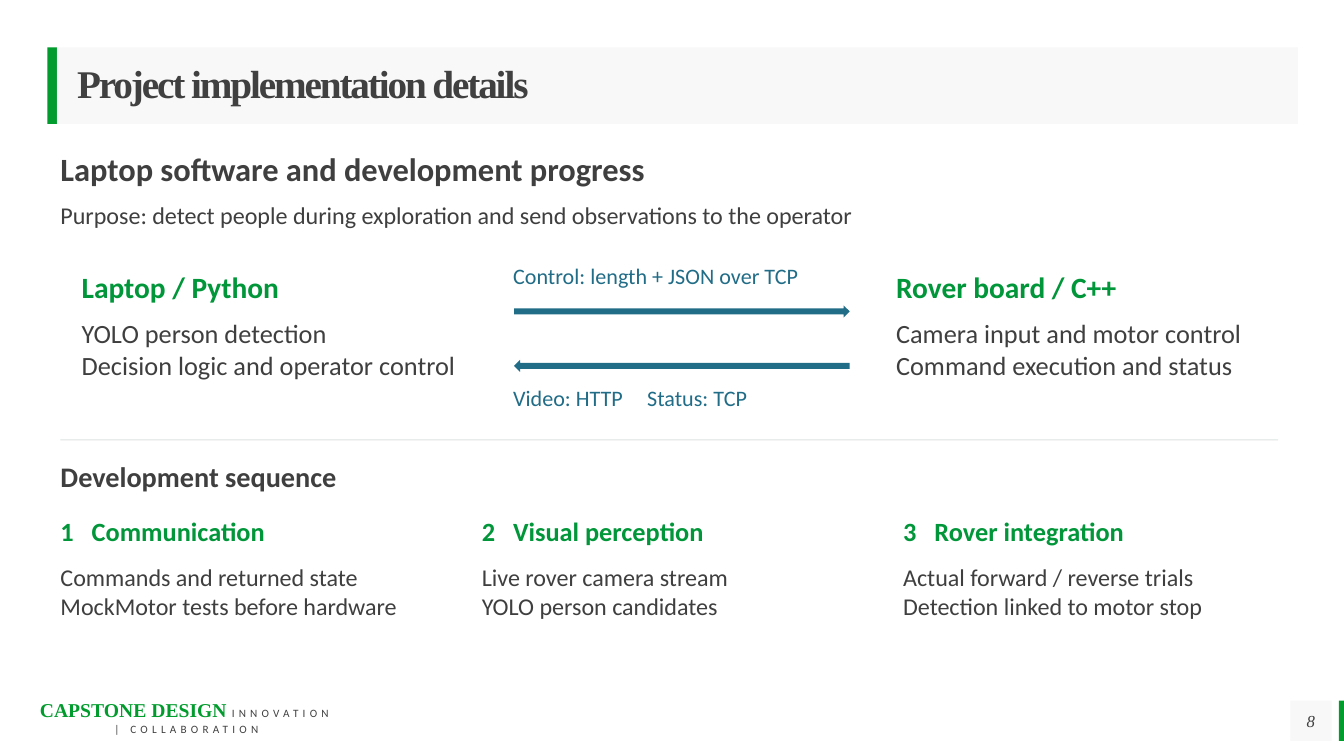
import pptx
import pptx.util
import pptx.dml.color
import pptx.enum.shapes
import pptx.enum.text
import pptx.oxml
import pptx.oxml.ns

RGBColor = pptx.dml.color.RGBColor
SHAPE = pptx.enum.shapes.MSO_SHAPE
ANCHOR = pptx.enum.text.MSO_ANCHOR
ALIGN = pptx.enum.text.PP_ALIGN
Pt = pptx.util.Pt

BRAND_GREEN = RGBColor(0x02, 0x9B, 0x2D)
GREEN = RGBColor(0x00, 0x96, 0x39)
TEAL = RGBColor(0x21, 0x6C, 0x87)
TEXT = RGBColor(0x3F, 0x3F, 0x3F)
DARK = RGBColor(0x40, 0x40, 0x40)
PANEL = RGBColor(0xF2, 0xF2, 0xF2)
RULE = RGBColor(0xDD, 0xE2, 0xDF)

# Grid of square cells, ten to the inch
CELL = pptx.util.Inches(0.1)
COLS, ROWS = 133.33, 75
LEFT = 6
STEP_PITCH = 41.8

# Text formats
SANS, SERIF = "Calibri", "Times New Roman"
TITLE = dict(name=SERIF, size=28, bold=True, color=DARK, spacing=-1.5)
PAGE = dict(name=SERIF, size=12, italic=True, color=DARK)
LOGOTYPE = dict(name=SERIF, size=14, bold=True, color=BRAND_GREEN)
TAGLINE = dict(name=SANS, size=8, color=DARK, spacing=3)
HEADING = dict(name=SANS, size=23.2, bold=True, color=TEXT)
SUBHEADING = dict(HEADING, size=20.2)
BODY = dict(name=SANS, size=17.2, color=TEXT)
NODE_HEAD = dict(name=SANS, size=21, bold=True, color=GREEN)
NODE_BODY = dict(BODY, size=18.8)
STEP_HEAD = dict(NODE_HEAD, size=18.8)
LINK = dict(name=SANS, size=15.8, color=TEAL)

NODES = [
    (8.1, "Laptop / Python",
     ["YOLO person detection", "Decision logic and operator control"]),
    (88.9, "Rover board / C++",
     ["Camera input and motor control", "Command execution and status"]),
]
LINKS = [
    (26, "Control: length + JSON over TCP", 30.3, SHAPE.RIGHT_ARROW),
    (38.1, "Video: HTTP\tStatus: TCP", 35.7, SHAPE.LEFT_ARROW),
]
STEPS = [
    ("Communication",
     ["Commands and returned state", "MockMotor tests before hardware"]),
    ("Visual perception",
     ["Live rover camera stream", "YOLO person candidates"]),
    ("Rover integration",
     ["Actual forward / reverse trials", "Detection linked to motor stop"]),
]


def grid(*cells):
    return [round(c * CELL) for c in cells]


def add_run(p, text, fmt):
    r = p.add_run()
    r.text = text
    for key, value in fmt.items():
        if key == "color":
            r.font.color.rgb = value
        elif key == "spacing":
            r.font._element.set("spc", str(round(value * 100)))
        else:
            setattr(r.font, key, Pt(value) if key == "size" else value)


def set_frame(tf, margins=(0, 0, 0, 0), anchor=ANCHOR.TOP):
    sides = ("left", "top", "right", "bottom")
    for side, margin in zip(sides, grid(*margins)):
        setattr(tf, f"margin_{side}", margin)
    tf.word_wrap = True
    tf.vertical_anchor = anchor


def add_tab(p, cells):
    tabs = pptx.oxml.parse_xml(
        f'<a:tabLst {pptx.oxml.ns.nsdecls("a")}>'
        f'<a:tab pos="{grid(cells)[0]}" algn="l"/></a:tabLst>')
    p._p.get_or_add_pPr().append(tabs)


def add_text(s, box, lines, fmt, tab=None):
    tf = s.shapes.add_textbox(*grid(*box)).text_frame
    set_frame(tf)
    for i, line in enumerate(lines):
        p = tf.add_paragraph() if i else tf.paragraphs[0]
        if tab:
            add_tab(p, tab)
        add_run(p, line, fmt)


def add_block(s, box, color, kind=SHAPE.RECTANGLE, alpha=None):
    sp = s.shapes.add_shape(kind, *grid(*box))
    sp.shadow.inherit = False
    sp.fill.solid()
    sp.fill.fore_color.rgb = color
    sp.line.fill.background()
    if alpha:
        clr = sp._element.spPr.find(".//" + pptx.oxml.ns.qn("a:srgbClr"))
        clr.append(pptx.oxml.parse_xml(
            f'<a:alpha {pptx.oxml.ns.nsdecls("a")} val="{alpha * 1000}"/>'))
    return sp


def add_panel(s, box, text, fmt, align, inset=0, spacing=1.0):
    tf = add_block(s, box, PANEL, alpha=50).text_frame
    set_frame(tf, (inset, 0, 0, 0), ANCHOR.MIDDLE)
    p = tf.paragraphs[0]
    p.alignment = align
    p.line_spacing = spacing
    add_run(p, text, fmt)


def add_footer(s):
    tf = s.shapes.add_textbox(*grid(2.7, 69, 31.6, 4.5)).text_frame
    set_frame(tf, (1, 1.2, 1, 0.5))
    p = tf.paragraphs[0]
    p.alignment = ALIGN.CENTER
    p.line_spacing = Pt(10)
    add_run(p, "CAPSTONE DESIGN ", LOGOTYPE)
    add_run(p, "INNOVATION | COLLABORATION", TAGLINE)
    add_block(s, (COLS - 0.5, 69.5, 0.5, 4), BRAND_GREEN)
    add_panel(s, (128, 69.5, 4.1, 4), "8", PAGE, ALIGN.CENTER)


def main():
    prs = pptx.Presentation()
    prs.slide_width, prs.slide_height = grid(COLS, ROWS)
    s = prs.slides.add_slide(prs.slide_layouts[6])

    # Title bar and footer
    add_block(s, (4.7, 4.7, 0.95, 7.6), BRAND_GREEN)
    add_panel(s, (5.65, 4.7, 123.1, 7.6), "Project implementation details",
              TITLE, ALIGN.LEFT, inset=2, spacing=0.9)
    add_footer(s)

    # Introduction
    add_text(s, (LEFT, 14.8, 118.8, 4.4),
             ["Laptop software and development progress"], HEADING)
    add_text(s, (LEFT, 19.9, 119.8, 3.3),
             ["Purpose: detect people during exploration and send "
              "observations to the operator"], BODY)

    # Two computers and the links between them
    for x, head, lines in NODES:
        add_text(s, (x, 26.7, 37.5, 3.9), [head], NODE_HEAD)
        add_text(s, (x, 31.5, 40.6, 7.9), lines, NODE_BODY)
    for label_y, label, arrow_y, kind in LINKS:
        add_text(s, (50.9, label_y, 35.4, 3.1), [label], LINK, tab=13.3)
        add_block(s, (51, arrow_y, 33.3, 1.2), TEAL, kind)

    # Development sequence
    add_block(s, (LEFT, 43.6, 120.8, 0.1), RULE)
    add_text(s, (LEFT, 45.6, 62.5, 3.6), ["Development sequence"], SUBHEADING)
    for i, (head, lines) in enumerate(STEPS):
        x = LEFT + i * STEP_PITCH
        add_text(s, (x, 51.1, 37.5, 3.5), [f"{i + 1}\t{head}"], STEP_HEAD,
                 tab=3.1)
        add_text(s, (x, 55.8, 37.5, 8.3), lines, BODY)

    prs.save("out.pptx")


if __name__ == "__main__":
    main()
